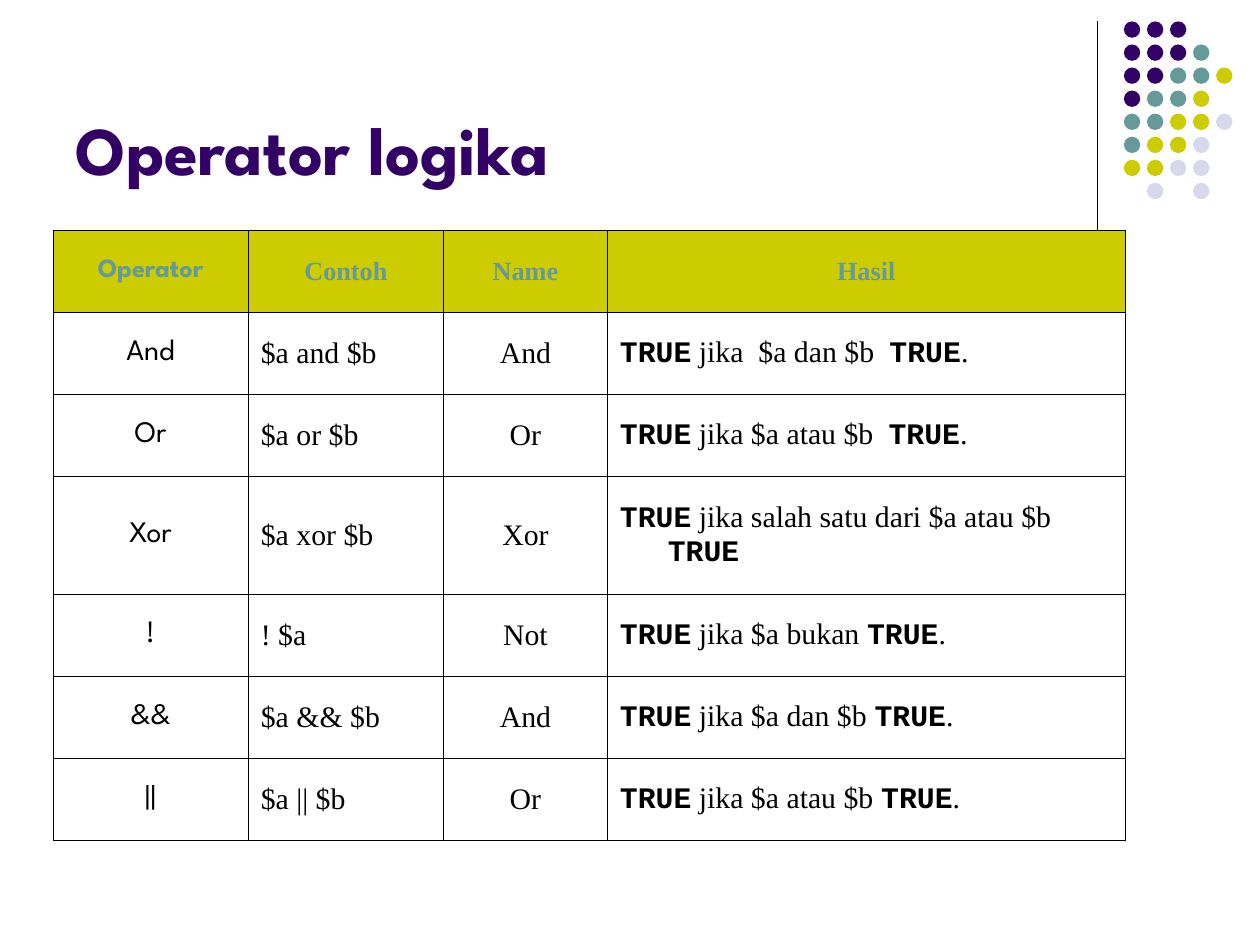
from lxml import etree
from pptx import Presentation
from pptx.dml.color import RGBColor
from pptx.enum.shapes import MSO_CONNECTOR, MSO_SHAPE
from pptx.enum.text import MSO_ANCHOR, PP_ALIGN
from pptx.oxml import parse_xml
from pptx.oxml.ns import nsdecls, qn
from pptx.util import Emu, Inches, Pt

LEFT, CENTER = PP_ALIGN.LEFT, PP_ALIGN.CENTER
BOTTOM, MIDDLE = MSO_ANCHOR.BOTTOM, MSO_ANCHOR.MIDDLE
STRAIGHT, OVAL = MSO_CONNECTOR.STRAIGHT, MSO_SHAPE.OVAL

TITLE = "Operator logika"
HEADER = ("Operator", "Contoh", "Name", "Hasil")
OPERATORS = [
    ("And", "$a and $b", "And", "TRUE jika  $a dan $b  TRUE."),
    ("Or", "$a or $b", "Or", "TRUE jika $a atau $b  TRUE."),
    ("Xor", "$a xor $b", "Xor", "TRUE jika salah satu dari $a atau $b TRUE"),
    ("!", "! $a", "Not", "TRUE jika $a bukan TRUE."),
    ("&&", "$a && $b", "And", "TRUE jika $a dan $b TRUE."),
    ("||", "$a || $b", "Or", "TRUE jika $a atau $b TRUE."),
]
KEYWORD = "TRUE"

COLORS = {"purple": "330066", "teal": "669999", "olive": "CCCC00",
          "lavender": "D8D8EC", "black": "000000"}
DOT_COLORS = {"p": "purple", "t": "teal", "o": "olive", "l": "lavender"}
DOT_ROWS = ["ppp", "pppt", "pptto", "ptto", "ttool", "tool", "ooll", " l l"]
DOT_LEFT, DOT_TOP, DOT_SIZE, DOT_PITCH = 8.92, 0.17, 0.13, 0.183

DISPLAY, SERIF, MONO = "League Spartan", "Times New Roman", "Courier New"
COLUMN_FONTS = (DISPLAY, SERIF, SERIF, SERIF)
COLUMN_ALIGNS = (CENTER, LEFT, CENTER, LEFT)
COLUMN_WIDTHS = (1.55, 1.55, 1.3, 4.11)
ROW_HEIGHT, TALL_ROW_HEIGHT, TALL_ROW = 0.65, 0.94, 3
TABLE_LEFT, TABLE_TOP = 0.42, 1.83
HANGING_INDENT = Inches(0.38)


def rgb(name):
    return RGBColor.from_string(COLORS[name])


def add_run(paragraph, text, color, **font_format):
    run = paragraph.add_run()
    run.text = text
    run.font.color.rgb = rgb(color)
    for attribute, value in font_format.items():
        setattr(run.font, attribute, value)


def add_divider(slide):
    divider = slide.shapes.add_connector(
        STRAIGHT, Inches(8.71), Inches(DOT_TOP), Inches(8.71), Inches(TABLE_TOP))
    divider.line.color.rgb = rgb("black")
    divider.line.width = Pt(0.75)
    etree.SubElement(divider._element.spPr, qn("a:effectLst"))


def add_dots(slide):
    for row, pattern in enumerate(DOT_ROWS):
        for column, key in enumerate(pattern):
            if key == " ":
                continue
            dot = slide.shapes.add_shape(
                OVAL, Inches(DOT_LEFT + column * DOT_PITCH),
                Inches(DOT_TOP + row * DOT_PITCH), Inches(DOT_SIZE), Inches(DOT_SIZE))
            dot.shadow.inherit = False
            dot.fill.solid()
            dot.fill.fore_color.rgb = rgb(DOT_COLORS[key])
            dot.line.fill.background()


def set_title(slide):
    title = slide.shapes.title
    title.left, title.top, title.width, title.height = map(
        Inches, (0.5, 0.13, 8.25, 1.42))
    title.text_frame.vertical_anchor = BOTTOM
    paragraph = title.text_frame.paragraphs[0]
    paragraph.alignment = LEFT
    add_run(paragraph, TITLE, "purple", name=DISPLAY, size=Pt(39), bold=True)


def add_borders(cell):
    properties = cell._tc.get_or_add_tcPr()
    for position, side in enumerate(("lnL", "lnR", "lnT", "lnB")):
        properties.insert(position, parse_xml(
            f'<a:{side} {nsdecls("a")} w="{Pt(0.34)}"><a:solidFill>'
            f'<a:srgbClr val="{COLORS["black"]}"/></a:solidFill></a:{side}>'))


def fill_cell(cell, text, column, is_header):
    cell.vertical_anchor = MIDDLE
    paragraph = cell.text_frame.paragraphs[0]
    paragraph.alignment = CENTER if is_header else COLUMN_ALIGNS[column]
    indents = paragraph._p.get_or_add_pPr()
    indents.set("marL", str(HANGING_INDENT))
    indents.set("indent", str(-HANGING_INDENT))
    font = COLUMN_FONTS[column]
    if is_header:
        cell.fill.solid()
        cell.fill.fore_color.rgb = rgb("olive")
        add_run(paragraph, text, "teal", name=font, size=Pt(15), bold=True)
    else:
        cell.fill.background()
        for position, piece in enumerate(text.split(KEYWORD)):
            if position:
                add_run(paragraph, KEYWORD, "black", name=MONO, size=Pt(17), bold=True)
            if piece:
                add_run(paragraph, piece, "black", name=font, size=Pt(17), bold=False)
    add_borders(cell)


def add_operator_table(slide):
    rows = [HEADER, *OPERATORS]
    heights = [ROW_HEIGHT] * len(rows)
    heights[TALL_ROW] = TALL_ROW_HEIGHT
    table = slide.shapes.add_table(
        len(rows), len(HEADER), Inches(TABLE_LEFT), Inches(TABLE_TOP),
        Inches(sum(COLUMN_WIDTHS)), Inches(sum(heights))).table
    table.horz_banding = False
    for column, width in zip(table.columns, COLUMN_WIDTHS):
        column.width = Inches(width)
    for row, height in zip(table.rows, heights):
        row.height = Inches(height)
    for r, texts in enumerate(rows):
        for c, text in enumerate(texts):
            fill_cell(table.cell(r, c), text, c, is_header=r == 0)


def main():
    presentation = Presentation()
    presentation.slide_width, presentation.slide_height = Inches(10), Inches(7.5)
    slide = presentation.slides.add_slide(presentation.slide_layouts.get_by_name("Title Only"))
    add_divider(slide)
    add_dots(slide)
    set_title(slide)
    add_operator_table(slide)
    presentation.save("out.pptx")


if __name__ == "__main__":
    main()
